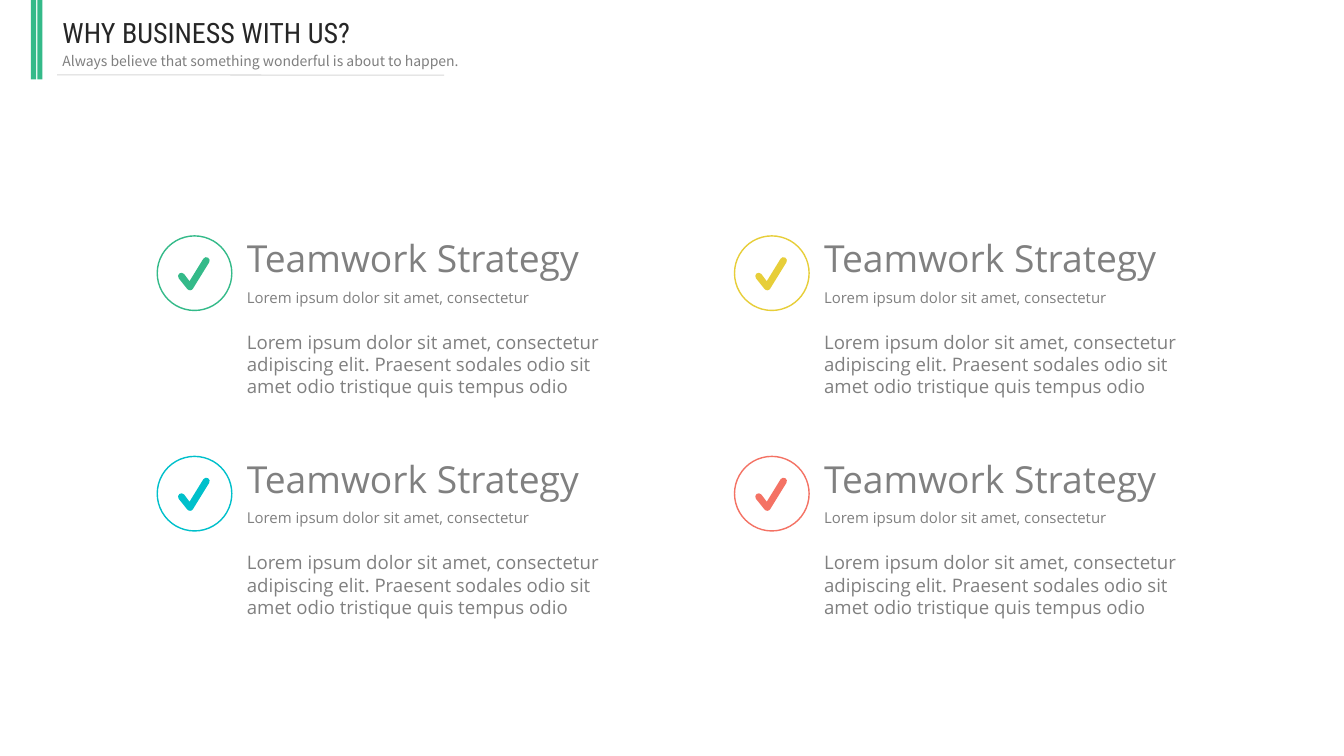
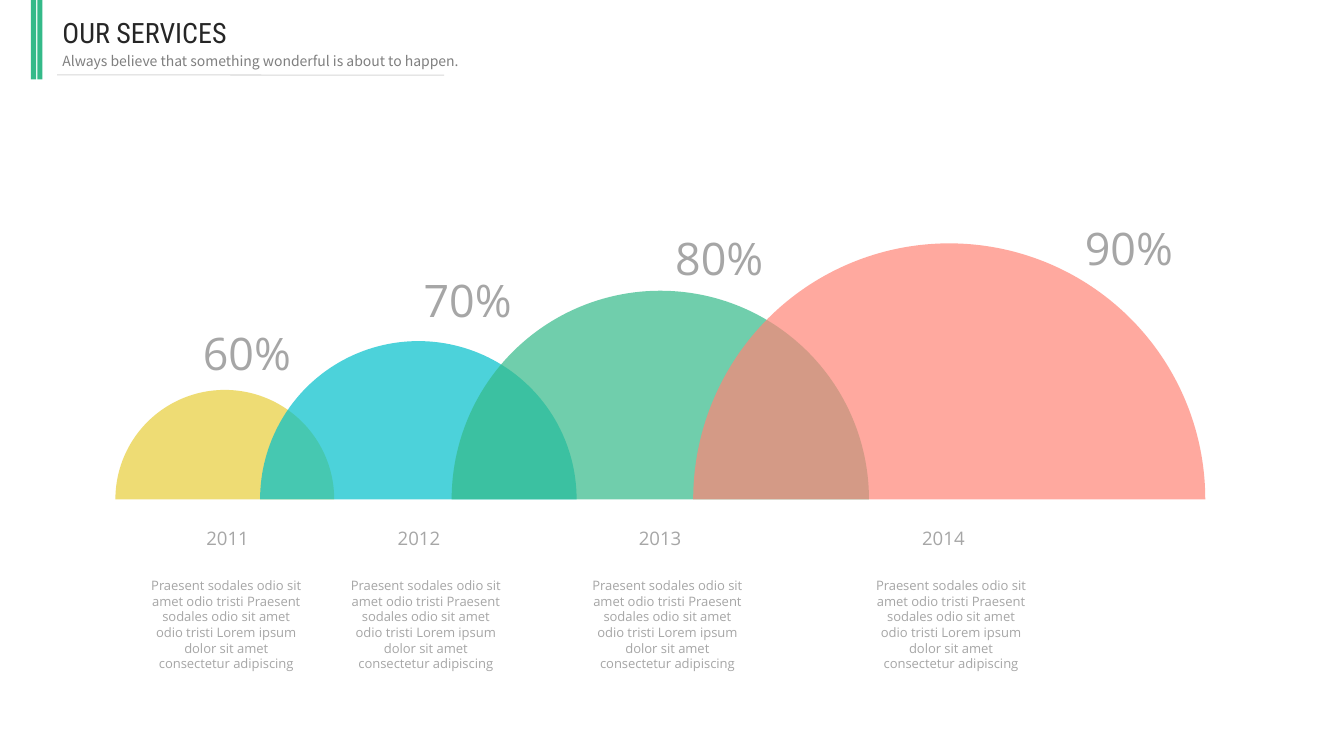
import math

from lxml import etree
from pptx import Presentation
from pptx import util as u
from pptx.dml.color import RGBColor
from pptx.enum import shapes, text
from pptx.oxml.ns import qn

C = {
    "green": "34BA89", "teal": "00C0CB", "yellow": "E7CE39", "red": "F47264",
    "coral": "FF8577", "title": "262626", "subtitle": "7F7F7F",
    "body": "808080", "pale": "A6A6A6", "rule": "D8D8D8",
}
BODY_FONT = "Open Sans"
LEFT, CENTER = text.PP_ALIGN.LEFT, text.PP_ALIGN.CENTER

prs = Presentation()
prs.slide_width, prs.slide_height = u.Inches(13.33), u.Inches(7.5)
COL, ROW = prs.slide_width / 100, prs.slide_height / 100


def put_text(sp, x, y, w, h, words, size, color, font=BODY_FONT, align=LEFT):
    sp.left, sp.top = round(x * COL), round(y * ROW)
    sp.width, sp.height = round(w * COL), round(h * ROW)
    tf = sp.text_frame
    tf.text = words
    tf.word_wrap = True
    tf.auto_size = text.MSO_AUTO_SIZE.NONE
    tf.vertical_anchor = text.MSO_ANCHOR.TOP
    p = tf.paragraphs[0]
    p.alignment = align
    p.font.name, p.font.size = font, u.Pt(size)
    p.font.color.rgb = RGBColor.from_string(C[color])


def paint(sp, fill=None, line=None):
    sp.shadow.inherit = False
    if fill:
        sp.fill.solid()
        sp.fill.fore_color.rgb = RGBColor.from_string(C[fill])
    else:
        sp.fill.background()
    if line:
        sp.line.color.rgb = RGBColor.from_string(C[line])
        sp.line.width = u.Pt(1)
    else:
        sp.line.fill.background()


slides = []
for heading in ("WHY BUSINESS WITH US?", "OUR SERVICES"):
    s = prs.slides.add_slide(prs.slide_layouts[5])
    slides.append(s)
    for x in (2.3, 2.78):
        bar = s.shapes.add_shape(shapes.MSO_SHAPE.RECTANGLE, round(x * COL), 0,
                                 round(0.38 * COL), round(10.5 * ROW))
        paint(bar, "green")
    put_text(s.shapes.title, 3.9, 1.36, 31.73, 5.87, heading, 20, "title",
             "Roboto Condensed")
    put_text(s.shapes.add_textbox(0, 0, 0, 0), 3.9, 6.27, 31.73, 3.6,
             "Always believe that something wonderful is about to happen.",
             10, "subtitle", "Noto Sans CJK SC")
    rule = s.shapes.add_connector(shapes.MSO_CONNECTOR.STRAIGHT,
                                  round(4.25 * COL), round(9.9 * ROW),
                                  round(33.05 * COL), round(9.95 * ROW))
    rule.line.color.rgb = RGBColor.from_string(C["rule"])
    rule.line.width = u.Pt(0.75)
    etree.SubElement(rule._element.spPr, qn("a:effectLst"))

why, services = slides

RING = round(5.55 * COL)
UNIT = RING / 74
CAP_STEPS = 4
tick = []
for cx, cy, start, end in ((12.5, 29.6, 32, 141), (4, 19, 141, 321),
                           (12, 24, 0, 0), (28.6, 3.5, 212, 392)):
    if start == end:
        tick.append((cx, cy))
        continue
    for step in range(CAP_STEPS + 1):
        angle = math.radians(start + (end - start) * step / CAP_STEPS)
        tick.append((cx + 3.4 * math.cos(angle), cy + 3.4 * math.sin(angle)))

LOREM = "Lorem ipsum dolor sit amet, consectetur"
for i, color in enumerate(("green", "teal", "yellow", "red")):
    x, y = 11.7 + 42.95 * (i // 2), 31.2 + 29.17 * (i % 2)
    ring = why.shapes.add_shape(shapes.MSO_SHAPE.OVAL, round(x * COL),
                                round(y * ROW), RING, RING)
    paint(ring, line=color)
    points = [((x + 1.5) * COL + px * UNIT, (y + 2.8) * ROW + py * UNIT)
              for px, py in tick]
    builder = why.shapes.build_freeform(*points[0])
    builder.add_line_segments(points[1:], close=True)
    paint(builder.convert_to_shape(), color)
    for dy, w, h, words, size in (
        (-0.67, 34.35, 7.33, "Teamwork Strategy", 26.6),
        (6.27, 23.5, 3.73, LOREM, 10.7),
        (11.87, 28.9, 10.27, LOREM + " adipiscing elit. Praesent sodales odio "
         "sit amet odio tristique quis tempus odio", 13.3),
    ):
        put_text(why.shapes.add_textbox(0, 0, 0, 0), x + 5.93, y + dy, w, h,
                 words, size, "body")

BASELINE = 66.05
STORY = ("Praesent sodales odio sit amet odio tristi " * 2
         + "Lorem ipsum dolor sit amet consectetur adipiscing")
milestones = (
    ("2011", "60%", "yellow", 16.73, 16.28, 16.94, 16.83, 18.38, 42.4),
    ("2012", "70%", "teal", 31.13, 23.55, 31.18, 31.68, 34.8, 35.47),
    ("2013", "80%", "green", 49.13, 31.05, 49.12, 49.66, 53.52, 29.87),
    ("2014", "90%", "coral", 70.63, 38.1, 70.2, 70.76, 84, 28.53),
)
for year, share, color, dome_x, size, year_x, story_x, share_x, share_y in milestones:
    d = round(size * COL)
    dome = services.shapes.add_shape(
        shapes.MSO_SHAPE.ARC, round(dome_x * COL - d / 2),
        round(BASELINE * ROW - d / 2), d, d)
    dome.adjustments[0], dome.adjustments[1] = 108, 0
    paint(dome, color)
    tint = dome._element.spPr.find(qn("a:solidFill")).find(qn("a:srgbClr"))
    etree.SubElement(tint, qn("a:alpha"), val="70000")
    for cx, y, w, h, words, pt in (
        (year_x, 69.07, 7.58, 4.8, year, 13.3),
        (story_x, 75.73, 13.1, 13.87, STORY, 9.3),
        (share_x, share_y, 10, 8.53, share, 32),
    ):
        put_text(services.shapes.add_textbox(0, 0, 0, 0), cx - w / 2, y, w, h,
                 words, pt, "pale", align=CENTER)

prs.save("out.pptx")
